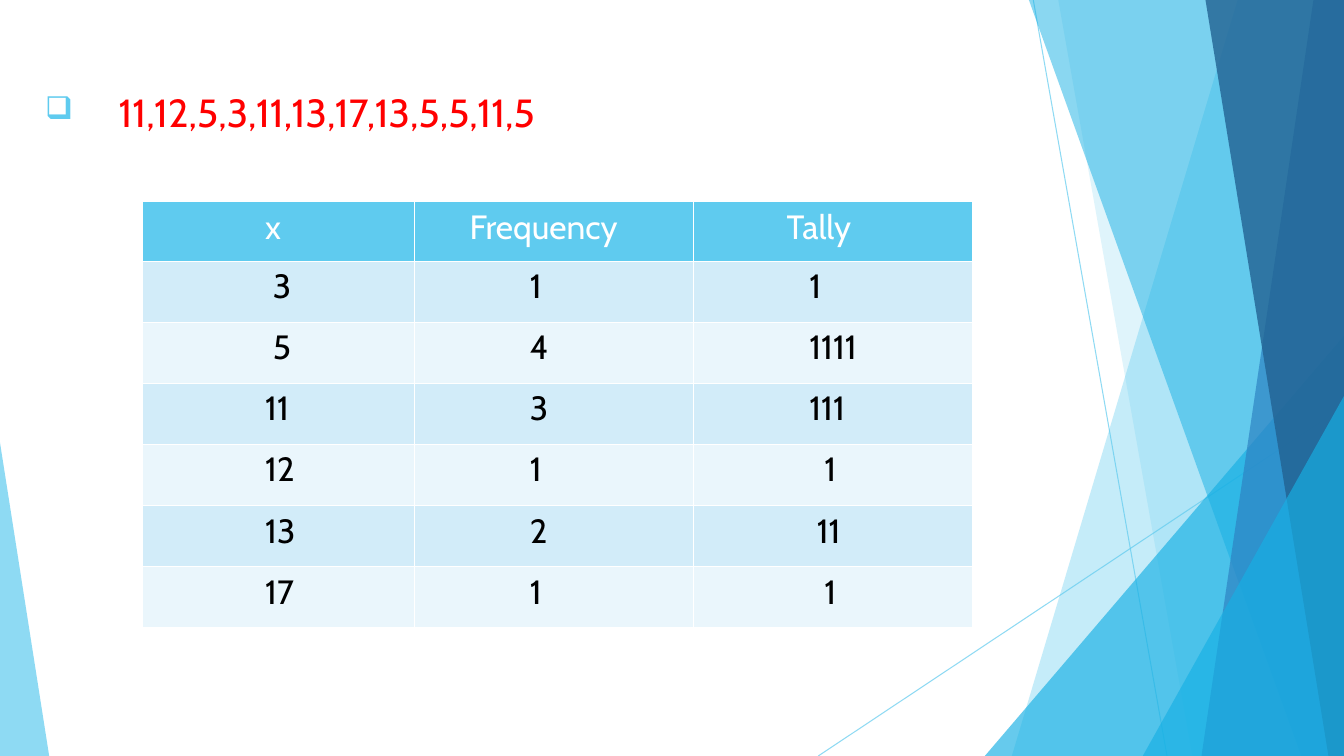
from lxml import etree
from pptx import Presentation
from pptx.dml.color import RGBColor
from pptx.enum.shapes import MSO_CONNECTOR, MSO_SHAPE
from pptx.oxml.ns import qn
from pptx.util import Cm, Pt

SKY = RGBColor(0x5F, 0xCB, 0xEF)
CYAN = RGBColor(0x17, 0xB0, 0xE4)
BLUE = RGBColor(0x2E, 0x83, 0xC3)
NAVY = RGBColor(0x22, 0x62, 0x92)
RED = RGBColor(0xFF, 0x00, 0x00)
WHITE = RGBColor(0xFF, 0xFF, 0xFF)
BLACK = RGBColor(0x00, 0x00, 0x00)
BANDS = (RGBColor(0xD2, 0xEC, 0xF9), RGBColor(0xEA, 0xF6, 0xFC))

WIDTH, HEIGHT = 33.87, 19.05

COLUMN_WIDTHS = (6.86, 7.04, 7.04)
HEADER_HEIGHT, ROW_HEIGHT = 1.5, 1.54
# Each cell holds its text and its left indent in cm.
HEADER = (("x", 2.85), ("Frequency", 1.14), ("Tally", 2.09))
ROWS = (
    (("3", 3.04), ("1", 2.66), ("1", 2.66)),
    (("5", 3.04), ("4", 2.66), ("1111", 2.66)),
    (("11", 2.85), ("3", 2.66), ("111", 2.66)),
    (("12", 2.85), ("1", 2.66), ("1", 3.04)),
    (("13", 2.85), ("2", 2.66), ("11", 2.85)),
    (("17", 2.85), ("1", 2.66), ("1", 3.04)),
)


class FrequencySlide:
    font = "Cabin"

    def __init__(self, slide):
        self.shapes = slide.shapes

    def set_alpha(self, parent, percent):
        """Make the solid fill inside parent partly transparent."""
        color = parent.find(".//" + qn("a:srgbClr"))
        etree.SubElement(color, qn("a:alpha"), val=str(percent * 1000))

    def paint(self, shape, color, opacity):
        shape.shadow.inherit = False
        shape.line.fill.background()
        shape.fill.solid()
        shape.fill.fore_color.rgb = color
        self.set_alpha(shape._element.spPr, opacity)

    def ray(self, x1, y1, x2, y2):
        """Draw a thin, partly transparent line."""
        ray = self.shapes.add_connector(
            MSO_CONNECTOR.STRAIGHT, Cm(x1), Cm(y1), Cm(x2), Cm(y2))
        ray.line.color.rgb = SKY
        ray.line.width = Pt(0.75)
        properties = ray._element.spPr
        self.set_alpha(properties, 70)
        etree.SubElement(properties, qn("a:effectLst"))

    def facet(self, top_x, bottom_x, color, opacity):
        """Fill from a slanted left edge to the right edge of the slide."""
        outline = self.shapes.build_freeform(Cm(top_x), 0)
        outline.add_line_segments([
            (Cm(WIDTH), 0), (Cm(WIDTH), Cm(HEIGHT)), (Cm(bottom_x), Cm(HEIGHT))])
        self.paint(outline.convert_to_shape(), color, opacity)

    def corner(self, left, top, width, apex, color, opacity):
        """Draw a right triangle standing on the bottom edge of the slide."""
        triangle = self.shapes.add_shape(
            MSO_SHAPE.ISOSCELES_TRIANGLE,
            Cm(left), Cm(top), Cm(width), Cm(HEIGHT - top))
        triangle.adjustments[0] = apex
        self.paint(triangle, color, opacity)

    def add_text(self, paragraph, text, size, color, indent):
        run = paragraph.add_run()
        run.text = text
        run.font.name = self.font
        run.font.size = Pt(size)
        run.font.bold = False
        run.font.color.rgb = color
        paragraph._p.get_or_add_pPr().set("marL", str(Cm(indent)))

    def bullet_line(self, text, left, top, width, height):
        box = self.shapes.add_textbox(Cm(left), Cm(top), Cm(width), Cm(height))
        box.text_frame.word_wrap = True
        paragraph = box.text_frame.paragraphs[0]
        paragraph.space_before = Pt(10)
        hanging = 1.85
        self.add_text(paragraph, text, 28, RED, hanging)
        properties = paragraph._p.get_or_add_pPr()
        properties.set("indent", str(-Cm(hanging)))
        color = etree.SubElement(properties, qn("a:buClr"))
        etree.SubElement(color, qn("a:srgbClr"), val=str(SKY))
        etree.SubElement(properties, qn("a:buSzPct"), val="80000")
        etree.SubElement(properties, qn("a:buChar"), char="❑")

    def table_row(self, row, contents, fill, color):
        for cell, (text, indent) in zip(row.cells, contents):
            cell.fill.solid()
            cell.fill.fore_color.rgb = fill
            self.add_text(cell.text_frame.paragraphs[0], text, 24, color, indent)

    def frequency_table(self, left, top):
        height = HEADER_HEIGHT + ROW_HEIGHT * len(ROWS)
        table = self.shapes.add_table(
            len(ROWS) + 1, len(HEADER), Cm(left), Cm(top),
            Cm(sum(COLUMN_WIDTHS)), Cm(height)).table
        for column, width in zip(table.columns, COLUMN_WIDTHS):
            column.width = Cm(width)
        for index, row in enumerate(table.rows):
            row.height = Cm(ROW_HEIGHT if index else HEADER_HEIGHT)
        header, *body = table.rows
        self.table_row(header, HEADER, SKY, WHITE)
        for index, (row, contents) in enumerate(zip(body, ROWS)):
            self.table_row(row, contents, BANDS[index % 2], BLACK)


def main():
    deck = Presentation()
    deck.slide_width, deck.slide_height = Cm(WIDTH), Cm(HEIGHT)
    page = FrequencySlide(deck.slides.add_slide(deck.slide_layouts[6]))

    page.ray(26.04, 0, 29.41, HEIGHT)
    page.ray(WIDTH, 10.24, 20.62, HEIGHT)
    page.facet(31.19, 25.5, SKY, 36)
    page.facet(26.67, 30.05, SKY, 20)
    page.corner(24.82, 8.46, WIDTH - 24.82, 1, CYAN, 66)
    page.facet(25.93, 32.79, CYAN, 50)
    page.facet(33.1, 30.28, BLUE, 70)
    page.facet(30.38, 33.48, NAVY, 80)
    page.corner(28.8, 9.98, WIDTH - 28.8, 1, CYAN, 66)
    page.corner(0, 11.15, 1.24, 0, SKY, 70)

    page.bullet_line("11,12,5,3,11,13,17,13,5,5,11,5", 0.89, 2.11, 24.87, 14.68)
    page.frequency_table(3.58, 5.08)
    deck.save("out.pptx")


if __name__ == "__main__":
    main()
